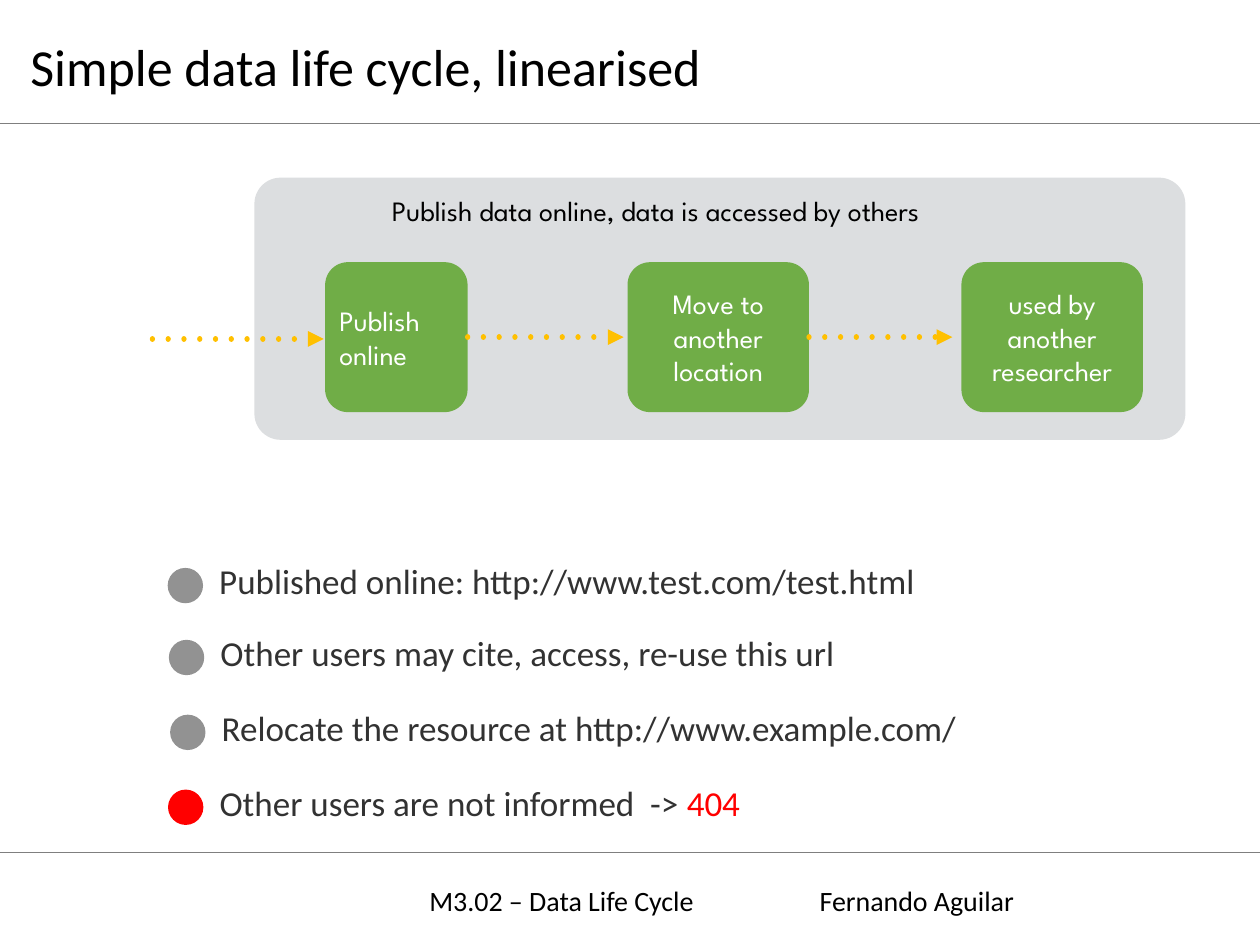
from lxml import etree
from pptx import Presentation
from pptx.dml.color import RGBColor
from pptx.enum import shapes, text
from pptx.oxml.ns import qn
from pptx.util import Pt

TITLE = "Simple data life cycle, linearised"
CAPTION = "Publish data online, data is accessed by others"
STAGES = [
    ("Publish online", 185.8, 81.4, 0.16, text.PP_ALIGN.LEFT),
    ("Move to another location", 358.6, 103.7, 0.15, text.PP_ALIGN.CENTER),
    ("used by another researcher", 549.4, 103.7, 0.15, text.PP_ALIGN.CENTER),
]
ARROW_TIPS = [356.4, 544.3]
INK, GREY, RED = "323232", "929292", "FF0000"
POINTS = [
    ([("Published online: http://www.test.com/test.html", INK)], 95.8, 324.5, GREY),
    ([("Other users may cite, access, re-use this url", INK)], 96.5, 365.6, GREY),
    ([("Relocate the resource at http://www.example.com/", INK)], 97.2, 408.4, GREY),
    ([("Other users are not informed  -> ", INK), ("404", RED)], 96, 451.2, RED),
]
FOOTER = "M3.02 – Data Life Cycle\tFernando Aguilar"

STAGE_TOP, STAGE_HEIGHT = 149.8, 85.7
DOT = 20.2


def color(value):
    return RGBColor.from_string(value)


def style(font, name, size, value):
    font.name, font.size = name, Pt(size)
    font.color.rgb = color(value)


def set_frame(shape, inset, anchor):
    frame = shape.text_frame
    frame.word_wrap = True
    frame.vertical_anchor = anchor
    frame.margin_left = frame.margin_right = Pt(inset)
    frame.margin_top = frame.margin_bottom = Pt(min(inset, 4.5))
    return frame.paragraphs[0]


def add_text(box, inset, anchor=text.MSO_ANCHOR.TOP):
    return set_frame(slide.shapes.add_textbox(*map(Pt, box)), inset, anchor)


def add_filled(kind, box, fill, corner=None):
    shape = slide.shapes.add_shape(kind, *map(Pt, box))
    shape.shadow.inherit = False
    shape.fill.solid()
    shape.fill.fore_color.rgb = color(fill)
    shape.line.fill.background()
    if corner:
        shape.adjustments[0] = corner
    return shape


def add_line(x1, y1, x2, y2, value, width):
    line = slide.shapes.add_connector(
        shapes.MSO_CONNECTOR.STRAIGHT, Pt(x1), Pt(y1), Pt(x2), Pt(y2))
    line.line.color.rgb = color(value)
    line.line.width = Pt(width)
    etree.SubElement(line._element.spPr, qn("a:effectLst"))
    return line


def add_dotted_arrow(x1, x2, y):
    arrow = add_line(x1, y, x2, y, "FFC000", 3)
    ln = arrow.line._get_or_add_ln()
    ln.set("cap", "rnd")
    dash = etree.SubElement(ln, qn("a:custDash"))
    etree.SubElement(dash, qn("a:ds"), d="100000", sp="200000")
    etree.SubElement(ln, qn("a:tailEnd"), type="triangle")
    return arrow


prs = Presentation()
prs.slide_width, prs.slide_height = Pt(720), Pt(540)
slide = prs.slides.add_slide(prs.slide_layouts[5])

for y in (487.4, 70.6):
    add_line(0, y, 720, y, "7F7F7F", 0.5)

title = slide.shapes.title
title.left, title.top, title.width, title.height = map(Pt, (10.1, 18.7, 661, 41.8))
heading = set_frame(title, 7.2, text.MSO_ANCHOR.MIDDLE)
title.text_frame.auto_size = text.MSO_AUTO_SIZE.NONE
heading.text = TITLE
heading.alignment = text.PP_ALIGN.LEFT
heading.line_spacing = 0.9
style(heading.font, "Calibri", 29.7, "000000")

rounded = shapes.MSO_SHAPE.ROUNDED_RECTANGLE
add_filled(rounded, (145.4, 101.5, 532, 149.8), "DCDEE0", 0.1)
caption = add_text((219.6, 106.6, 374.4, 27.4), 4.3, text.MSO_ANCHOR.MIDDLE)
caption.text = CAPTION
style(caption.font, "League Spartan", 16, "000000")

stages = []
for label, left, width, corner, align in STAGES:
    stage = add_filled(rounded, (left, STAGE_TOP, width, STAGE_HEIGHT), "70AD47", corner)
    wording = set_frame(stage, 4.3, text.MSO_ANCHOR.MIDDLE)
    wording.text = label
    wording.alignment = align
    style(wording.font, "League Spartan", 16, "FFFFFF")
    stages.append(stage)

add_dotted_arrow(87.1, 185, 193.7)
for stage, (_, left, width, _, _), tip in zip(stages, STAGES, ARROW_TIPS):
    arrow = add_dotted_arrow(left + width, tip, STAGE_TOP + STAGE_HEIGHT / 2)
    arrow.begin_connect(stage, 3)

for parts, left, top, fill in POINTS:
    add_filled(shapes.MSO_SHAPE.OVAL, (left, top, DOT, DOT), fill)
    point = add_text((left + 26.6, top - 7.6, 507, 30.2), 2.9)
    for wording, value in parts:
        run = point.add_run()
        run.text = wording
        style(run.font, "Calibri", 20, value)

footer = add_text((238.3, 500.4, 365, 28.8), 7.2)
footer.text = FOOTER
tabs = etree.SubElement(footer._p.get_or_add_pPr(), qn("a:tabLst"))
etree.SubElement(tabs, qn("a:tab"), pos=str(Pt(223)), algn="l")
style(footer.font, "Calibri", 16, "000000")

prs.save("out.pptx")
